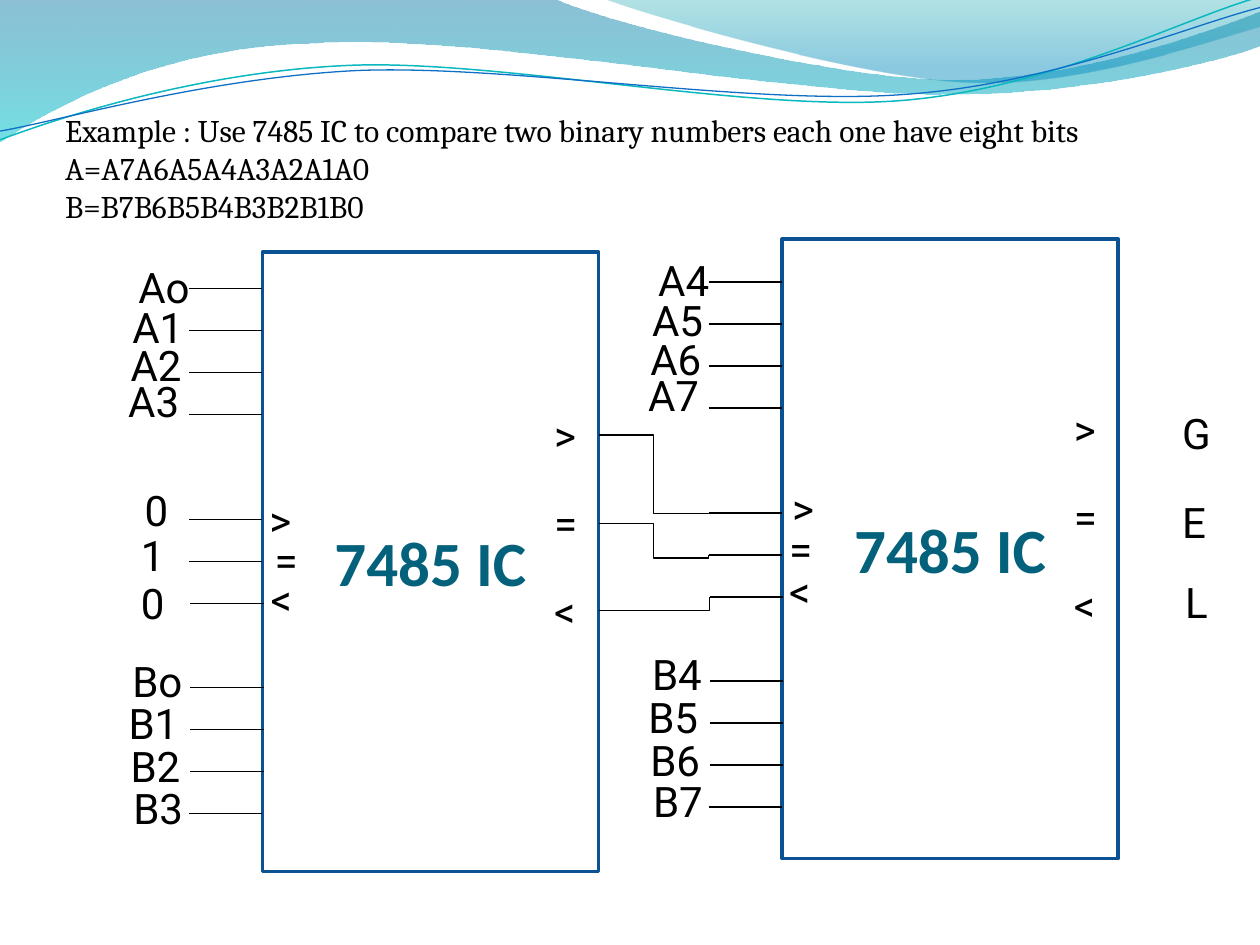
from lxml import etree
from pptx import Presentation
from pptx.dml.color import RGBColor
from pptx.enum.shapes import MSO_CONNECTOR, MSO_SHAPE
from pptx.enum.text import MSO_ANCHOR, PP_ALIGN
from pptx.oxml.ns import qn
from pptx.util import Pt

STRAIGHT, ELBOW = MSO_CONNECTOR.STRAIGHT, MSO_CONNECTOR.ELBOW
RECTANGLE = MSO_SHAPE.RECTANGLE
TOP, MIDDLE = MSO_ANCHOR.TOP, MSO_ANCHOR.MIDDLE
LEFT, CENTER = PP_ALIGN.LEFT, PP_ALIGN.CENTER

BLACK = RGBColor(0x00, 0x00, 0x00)
WHITE = RGBColor(0xFF, 0xFF, 0xFF)
NAVY = RGBColor(0x0B, 0x52, 0x92)
TEAL = RGBColor(0x04, 0x61, 0x7B)
AQUA = RGBColor(0x0A, 0xB8, 0xBF)
BLUE = RGBColor(0x0F, 0x6F, 0xC6)
WAVE_BLUE = RGBColor(0x00, 0x74, 0xA1)
WAVE_CYAN = RGBColor(0x00, 0xC6, 0xCF)
CREST_CYAN = RGBColor(0x00, 0xA1, 0xA9)
CREST_BLUE = RGBColor(0x00, 0x8B, 0xBF)

WAVE = [(0, 0), (316.8, -0.7), (342.7, 12.2, 478.1, 45.4, 545.8, 45.4),
        (614.2, 45.4, 689.8, 18.7, 720, 6.5), (720.7, 25.9),
        (707.8, 31.7, 626.4, 54.7, 537.1, 54), (447.8, 54, 275, 20.2, 185, 24.5),
        (92.9, 25.9, 33.1, 59.8, -0.7, 81.4), (0, 0)]
CREST = [(344.9, -0.7), (366.5, 7.9, 491, 44.6, 553.7, 46.8),
         (616.3, 49.7, 691.9, 23, 720, 15.1), (720, 0), (344.9, -0.7)]
AQUA_LINE = [(0, 79.9), (34.6, 67, 113.8, 41, 199.4, 37.4),
             (284.4, 33.8, 427, 64.1, 513.4, 57.6),
             (599.8, 51.1, 675.4, 10.8, 718.6, -1.4)]
BLUE_LINE = [(0, 74.9), (33.8, 69.1, 118.1, 44.6, 203.8, 40.3),
             (290.2, 36.7, 429.8, 60.5, 516.2, 54),
             (601.9, 48.2, 677.5, 15.1, 720, 4.3)]

HEADING = ["Example : Use 7485 IC to compare two binary numbers each one have eight bits",
           "A=A7A6A5A4A3A2A1A0", "B=B7B6B5B4B3B2B1B0"]
LABEL_AT = [(72, 145.7), (68.5, 168.5), (67.5, 190.6), (66.2, 211),
            (68.5, 370.9), (66.4, 395.3), (67.5, 419.8), (69.1, 443.4)]
PIN_ROWS = [0, 1, 2, 3, 5.5, 6.5, 7.5, 9.5, 10.5, 11.5, 12.5]
PIN_TOP, PIN_GAP = 164.75, 24
STAGES = [
    (0, 0, 144, "Ao A1 A2 A3 Bo B1 B2 B3",
     [(146.9, 278.8), (149.8, 301.7), (147.6, 324)]),
    (297, -3.6, 136.6, "A4 A5 A6 A7 B4 B5 B6 B7",
     [(445.5, 272.2), (443.8, 295.6), (443.8, 319.7)]),
]
CASCADE = [(342, 248.6, 404.8, 293, "bentConnector4", (50000, 101400)),
           (342, 299.2, 404.8, 317, "bentConnector4", (50000, 110200)),
           (342, 349, 405.4, 341, "bentConnector2", ())]
OUTER = [("0", 75.6, 273.1), ("1", 73.4, 298.8), ("0", 73.4, 326.2),
         ("G", 668.4, 229.4), ("E", 668.4, 280.1), ("L", 670.1, 325.7)]


class Sketch:
    """Draws styled elements on one slide, with lengths in points."""

    def __init__(self, slide):
        self.s = slide

    def style(self, tf, size, font, color, align=LEFT, bold=False):
        for p in tf.paragraphs:
            p.alignment = align
            for r in p.runs:
                r.font.size = Pt(size)
                r.font.name = font
                r.font.bold = bold
                r.font.color.rgb = color

    def title(self, lines, x, y, w, h):
        sp = self.s.shapes.title
        sp.left, sp.top, sp.width, sp.height = Pt(x), Pt(y), Pt(w), Pt(h)
        tf = sp.text_frame
        tf.text = "\n".join(lines)
        tf.vertical_anchor = TOP
        self.style(tf, 18, "Cambria", BLACK)

    def label(self, text, x, y, w):
        tf = self.s.shapes.add_textbox(Pt(x), Pt(y), Pt(w), Pt(36)).text_frame
        tf.word_wrap = True
        tf.text = text
        self.style(tf, 24, "Roboto", BLACK)

    def chip(self, text, x, y, w, h):
        sp = self.s.shapes.add_shape(RECTANGLE, Pt(x), Pt(y), Pt(w), Pt(h))
        sp.shadow.inherit = False
        sp.fill.solid()
        sp.fill.fore_color.rgb = WHITE
        sp.line.color.rgb = NAVY
        sp.line.width = Pt(2)
        tf = sp.text_frame
        tf.text = text
        tf.vertical_anchor = MIDDLE
        self.style(tf, 36, "Calibri", TEAL, CENTER, True)

    def wire(self, x1, y1, x2, y2, preset=None, adjust=()):
        kind = ELBOW if preset else STRAIGHT
        sp = self.s.shapes.add_connector(kind, Pt(x1), Pt(y1), Pt(x2), Pt(y2))
        sp.line.color.rgb = BLACK
        sp.line.width = Pt(0.75)
        spPr = sp.element.spPr
        etree.SubElement(spPr, qn("a:effectLst"))
        if preset:
            geom = spPr.find(qn("a:prstGeom"))
            geom.set("prst", preset)
            for i, value in enumerate(adjust, 1):
                etree.SubElement(geom.find(qn("a:avLst")), qn("a:gd"),
                                 name=f"adj{i}", fmla=f"val {value}")

    def curve(self, outline, closed):
        ends = [(Pt(seg[-2]), Pt(seg[-1])) for seg in outline]
        builder = self.s.shapes.build_freeform(*ends[0])
        builder.add_line_segments(ends[1:], close=closed)
        sp = builder.convert_to_shape()
        sp.shadow.inherit = False
        lines = list(sp.element.spPr.iter(qn("a:lnTo")))
        for line, seg in zip(lines, outline[1:]):
            if len(seg) == 6:
                bezier = etree.Element(qn("a:cubicBezTo"))
                for x, y in zip(seg[::2], seg[1::2]):
                    etree.SubElement(bezier, qn("a:pt"), x=str(Pt(x) - sp.left),
                                     y=str(Pt(y) - sp.top))
                line.getparent().replace(line, bezier)
        return sp

    def wave(self, outline, stops):
        sp = self.curve(outline, True)
        sp.line.fill.background()
        sp.fill.gradient()
        sp.fill.gradient_angle = 270
        for stop, (position, color, alpha) in zip(sp.fill.gradient_stops, stops):
            stop.position = position
            stop.color.rgb = color
        colors = sp.element.spPr.iter(qn("a:srgbClr"))
        for clr, (position, color, alpha) in zip(colors, stops):
            etree.SubElement(clr, qn("a:alpha"), val=str(alpha * 1000))

    def swoosh(self, outline, color, width):
        sp = self.curve(outline, False)
        sp.fill.background()
        sp.line.color.rgb = color
        sp.line.width = Pt(width)


prs = Presentation()
prs.slide_width, prs.slide_height = Pt(720), Pt(540)
sketch = Sketch(prs.slides.add_slide(prs.slide_layouts[5]))

sketch.wave(WAVE, [(0, WAVE_BLUE, 45), (1, WAVE_CYAN, 55)])
sketch.wave(CREST, [(0, CREST_CYAN, 30), (0.8, CREST_BLUE, 45)])
sketch.swoosh(AQUA_LINE, AQUA, 0.85)
sketch.swoosh(BLUE_LINE, BLUE, 0.75)
sketch.title(HEADING, 30, 60, 666, 94)

for dx, dy, chip_top, names, inputs in STAGES:
    sketch.chip("7485 IC", 150 + dx, chip_top, 192, 354)
    for row in PIN_ROWS:
        y = PIN_TOP + PIN_GAP * row + dy
        shift = 0.6 if 7 < row < 12 else 0
        sketch.wire(108 + dx + shift, y, 150 + dx + shift, y)
    for name, (x, y) in zip(names.split(), LABEL_AT):
        sketch.label(name, x + dx, y + dy, 87)
    for i, (sign, (x, y)) in enumerate(zip(">=<", inputs)):
        sketch.label(sign, x, y, 32.4)
        sketch.label(sign, 309.6 + dx, 230.4 + 50.4 * i + dy, 32.4)

for text, x, y in OUTER:
    sketch.label(text, x, y, 31)
for link in CASCADE:
    sketch.wire(*link)

prs.save("out.pptx")
